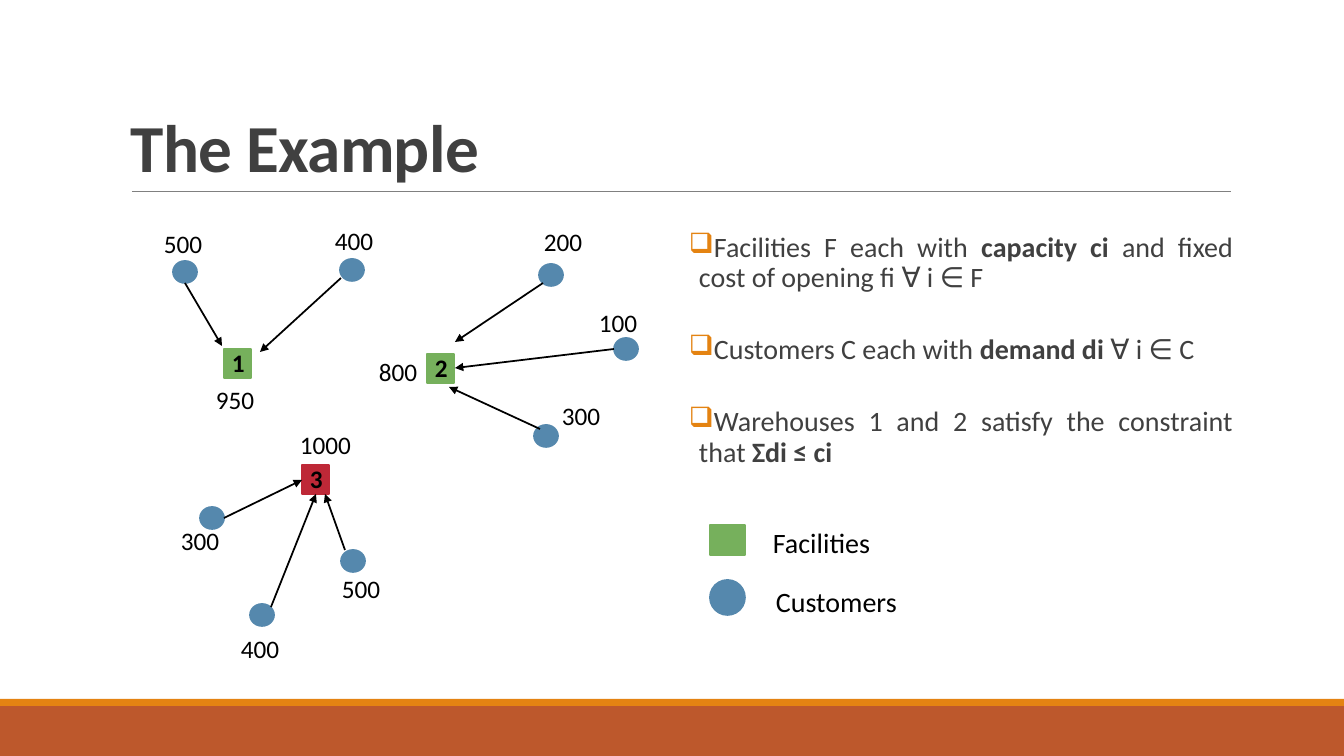
"""Builds the facility location example slide."""
from lxml import etree
from pptx import Presentation
from pptx.dml.color import RGBColor
from pptx.enum.shapes import MSO_CONNECTOR, MSO_SHAPE
from pptx.enum.text import MSO_ANCHOR, PP_ALIGN
from pptx.oxml.ns import qn
from pptx.util import Emu, Pt

BLACK = RGBColor(0x00, 0x00, 0x00)
GREY = RGBColor(0x40, 0x40, 0x40)
RULE_GREY = RGBColor(0x80, 0x80, 0x80)
ORANGE = RGBColor(0xE4, 0x83, 0x12)
RUST = RGBColor(0xBD, 0x58, 0x2C)
BLUE = RGBColor(0x55, 0x88, 0xAD)
GREEN = RGBColor(0x76, 0xB0, 0x5C)
RED = RGBColor(0xBE, 0x28, 0x37)
FONT = "Calibri"
PX = 914400 / 100.8

TITLE = "The Example"
BULLETS = [
    [("Facilities F each with ", False), ("capacity ci ", True),
     ("and fixed cost of opening fi ∀ i ∈ F", False)],
    [("Customers C each with ", False), ("demand di ", True), ("∀ i ∈ C", False)],
    [("Warehouses 1 and 2 satisfy the constraint that ", False), ("Σdi ≤ ci", True)],
]
BANDS = [(0, 706, 1344, 50, RUST), (0, 699, 1344, 7, ORANGE)]

CUSTOMER_SIZE = (24, 22)
CUSTOMERS = [(539, 264), (614, 338), (534, 425), (173, 261),
             (340, 259), (200, 507), (250, 604), (341, 550)]
FACILITY_SIZE = (27, 29)
FACILITIES = [("1", 224, 349, GREEN), ("2", 427, 354, GREEN), ("3", 302, 465, RED)]
ARROWS = [
    (543, 283, 455, 342), (614, 349, 455, 368), (540, 429, 449, 387),
    (185, 283, 222, 346), (341, 278, 260, 352), (224, 518, 302, 480),
    (271, 607, 316, 494), (345, 550, 325, 494),
]
AMOUNT_SIZE = (73, 40)
AMOUNTS = [
    ("200", 534, 221), ("100", 589, 302), ("300", 552, 395), ("800", 369, 351),
    ("950", 206, 379), ("400", 325, 220), ("500", 154, 223), ("1000", 290, 424),
    ("500", 332, 568), ("400", 231, 628), ("300", 171, 520),
]
LEGEND = [
    (MSO_SHAPE.RECTANGLE, (710, 525, 35, 30), GREEN, "Facilities", (763, 521, 199, 44)),
    (MSO_SHAPE.OVAL, (710, 580, 35, 35), BLUE, "Customers", (766, 580, 199, 44)),
]


def px(*lengths):
    return [Emu(round(length * PX)) for length in lengths]


def add_block(page, kind, place, color, outlined=True):
    shape = page.shapes.add_shape(kind, *px(*place))
    shape.shadow.inherit = False
    shape.fill.solid()
    shape.fill.fore_color.rgb = color
    if outlined:
        shape.line.color.rgb = color
        shape.line.width = Pt(1.25)
    else:
        shape.line.fill.background()


def add_line(page, ends, color, width, arrow=False):
    line = page.shapes.add_connector(MSO_CONNECTOR.STRAIGHT, *px(*ends))
    line.line.color.rgb = color
    line.line.width = Pt(width)
    if arrow:
        etree.SubElement(line.line._get_or_add_ln(), qn("a:tailEnd"), type="triangle")
    etree.SubElement(line._element.spPr, qn("a:effectLst"))


def set_font(para, size, color, bold=None):
    font = para.font
    font.name, font.size, font.bold = FONT, Pt(size), bold
    font.color.rgb = color


def add_text(page, place, text, size, color=BLACK, bold=False):
    box = page.shapes.add_textbox(*px(*place))
    box.text_frame.word_wrap = True
    para = box.text_frame.paragraphs[0]
    para.add_run().text = text
    set_font(para, size, color, bold)
    return box


def add_title(page):
    box = add_text(page, (121, 31, 1109, 160), TITLE, 48, GREY, True)
    box.text_frame.vertical_anchor = MSO_ANCHOR.BOTTOM
    para = box.text_frame.paragraphs[0]
    para.line_spacing = 0.85
    para.runs[0]._r.get_or_add_rPr().set("spc", "-50")


def add_bullets(page):
    frame = page.shapes.add_textbox(*px(689, 228, 544, 444)).text_frame
    frame.word_wrap = True
    frame.margin_left = frame.margin_right = 0
    indent = px(10)[0]
    for index, spans in enumerate(BULLETS):
        para = frame.paragraphs[0] if index == 0 else frame.add_paragraph()
        props = para._p.get_or_add_pPr()
        props.set("marL", str(indent))
        props.set("indent", str(-indent))
        bullet_color = etree.SubElement(props, qn("a:buClr"))
        etree.SubElement(bullet_color, qn("a:srgbClr"), val=str(ORANGE))
        etree.SubElement(props, qn("a:buChar"), char="❑")
        para.alignment = PP_ALIGN.JUSTIFY
        para.line_spacing = 0.9
        para.space_before = Pt(12 if index else 0)
        para.space_after = Pt(18)
        set_font(para, 20, GREY)
        for text, bold in spans:
            span = para.add_run()
            span.text = text
            span.font.bold = bold


def main():
    deck = Presentation()
    deck.slide_width, deck.slide_height = px(1344, 756)
    page = deck.slides.add_slide(deck.slide_layouts[6])
    for *place, color in BANDS:
        add_block(page, MSO_SHAPE.RECTANGLE, place, color, outlined=False)
    add_line(page, (132, 191, 1231, 191), RULE_GREY, 0.5)
    add_title(page)
    add_bullets(page)
    for corner in CUSTOMERS:
        add_block(page, MSO_SHAPE.OVAL, corner + CUSTOMER_SIZE, BLUE)
    for _, left, top, color in FACILITIES:
        add_block(page, MSO_SHAPE.RECTANGLE, (left, top) + FACILITY_SIZE, color)
    for ends in ARROWS:
        add_line(page, ends, BLACK, 1.25, arrow=True)
    for amount, *corner in AMOUNTS:
        add_text(page, (*corner, *AMOUNT_SIZE), amount, 18)
    for number, left, top, _ in FACILITIES:
        add_text(page, (left - 2, top - 7, 27, 40), number, 18, bold=True)
    for kind, place, color, label, label_place in LEGEND:
        add_block(page, kind, place, color)
        add_text(page, label_place, label, 20)
    deck.save("out.pptx")


if __name__ == "__main__":
    main()
